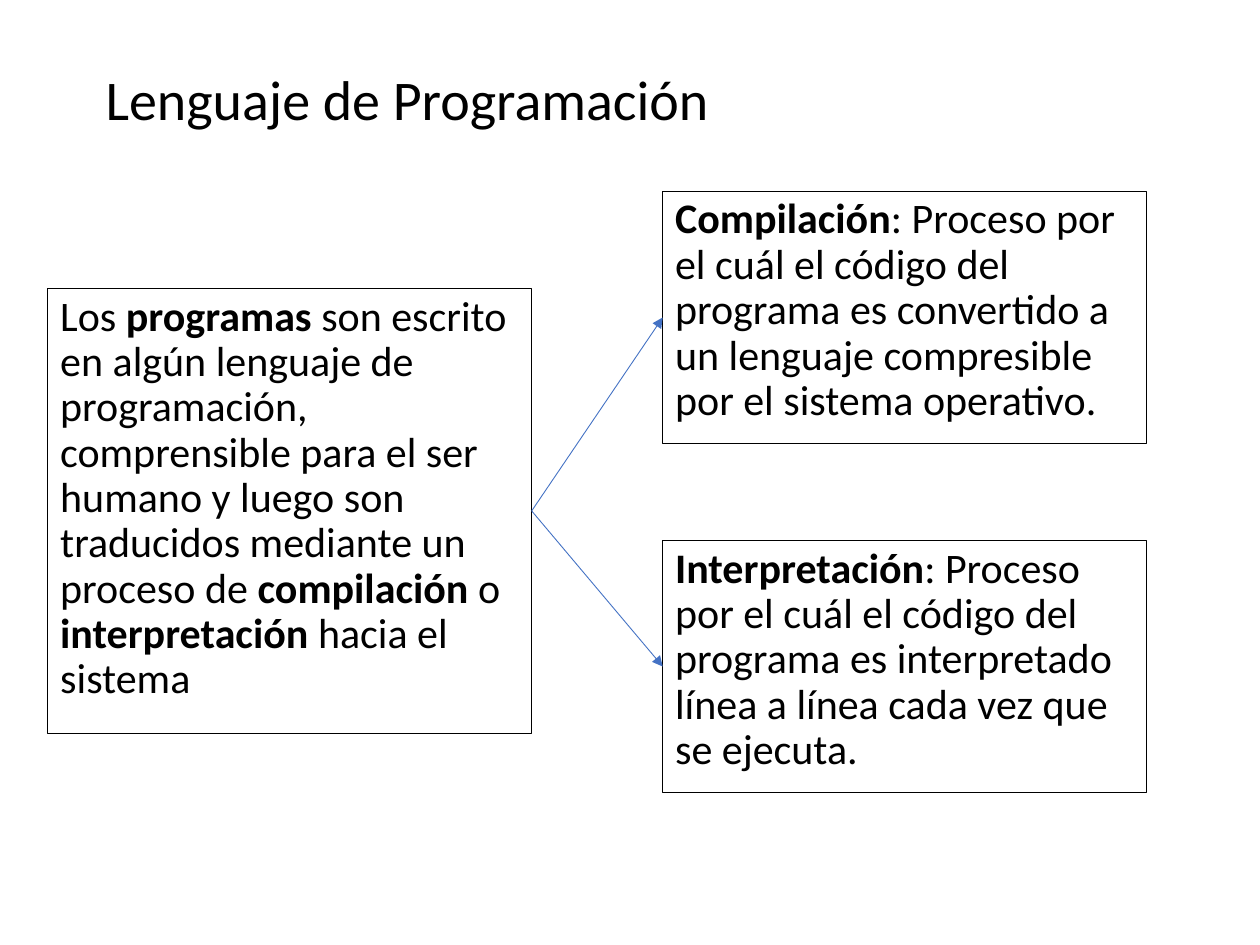
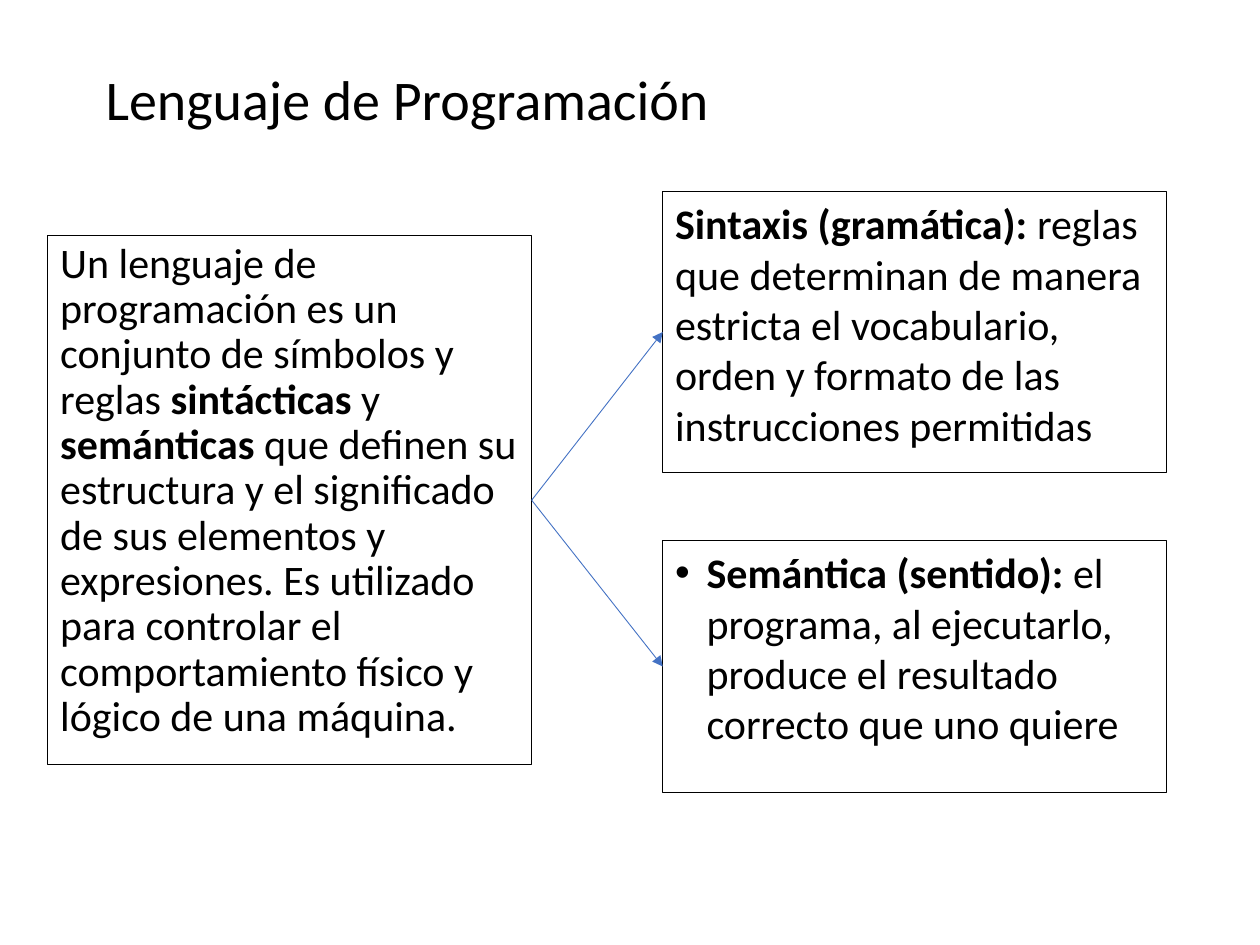
from pptx import Presentation
from pptx.dml.color import RGBColor
from pptx.enum import shapes, text
from pptx.oxml import ns
from pptx.util import Inches, Pt
from lxml import etree

FONT = "Calibri"
BLACK, WHITE, BLUE = "000000", "FFFFFF", "4472C4"
TITLE = "Lenguaje de Programación"
LEFT_X, RIGHT_X = 0.38, 5.26
TOP_Y, BOTTOM_Y = 1.52, 4.29
LEFT_WIDTH = 3.84


def color(value):
    """Turn a hex string into a colour."""
    return RGBColor.from_string(value)


def add_runs(p, marked, size):
    """Add runs to a paragraph, with bold between double asterisks."""
    for i, part in enumerate(marked.split("**")):
        if part:
            r = p.add_run()
            r.text = part
            r.font.name = FONT
            r.font.size = Pt(size)
            r.font.bold = i % 2 == 1
            r.font.color.rgb = color(BLACK)


def add_bullet(p, indent):
    """Give a paragraph a round bullet with a hanging indent."""
    pPr = p._p.get_or_add_pPr()
    pPr.set("marL", str(Inches(indent)))
    pPr.set("indent", str(Inches(-indent)))
    etree.SubElement(pPr, ns.qn("a:buFont"), typeface="Arial")
    etree.SubElement(pPr, ns.qn("a:buChar"), char="•")


def add_title(s, x, y, w, h):
    """Add the shared slide title."""
    tf = s.shapes.add_textbox(Inches(x), Inches(y), Inches(w), Inches(h)).text_frame
    tf.word_wrap = False
    tf.auto_size = text.MSO_AUTO_SIZE.SHAPE_TO_FIT_TEXT
    add_runs(tf.paragraphs[0], TITLE, 32)


def add_box(s, x, y, w, h, marked, spacing=1.0, fill=None, bullet=False):
    """Add an outlined box of text."""
    sp = s.shapes.add_shape(shapes.MSO_SHAPE.RECTANGLE,
                            Inches(x), Inches(y), Inches(w), Inches(h))
    sp.shadow.inherit = False
    if fill:
        sp.fill.solid()
        sp.fill.fore_color.rgb = color(fill)
    else:
        sp.fill.background()
    sp.line.color.rgb = color(BLACK)
    sp.line.width = Pt(0.75)
    tf = sp.text_frame
    tf.word_wrap = True
    tf.vertical_anchor = text.MSO_ANCHOR.TOP
    p = tf.paragraphs[0]
    p.alignment = text.PP_ALIGN.LEFT
    p.line_spacing = spacing
    if bullet:
        add_bullet(p, 0.25)
    add_runs(p, marked, 24)
    return sp


def add_arrow(s, source, target):
    """Join the right side of one box to the left side of another."""
    line = s.shapes.add_connector(shapes.MSO_CONNECTOR.STRAIGHT, 0, 0, 0, 0)
    line.begin_connect(source, 3)
    line.end_connect(target, 1)
    line.line.color.rgb = color(BLUE)
    line.line.width = Pt(0.5)
    etree.SubElement(line.line._get_or_add_ln(), ns.qn("a:tailEnd"), type="triangle")
    etree.SubElement(line._element.spPr, ns.qn("a:effectLst"))


def add_branch_slide(prs, left, top, bottom, left_y, left_h, right_w, top_h,
                     spacing, bullet=False):
    """Add a slide whose left box branches to two boxes on the right."""
    s = prs.slides.add_slide(prs.slide_layouts[6])
    add_title(s, 0.74, 0.46, 5.04, 0.64)
    source = add_box(s, LEFT_X, left_y, LEFT_WIDTH, left_h, left, 0.9)
    targets = [
        add_box(s, RIGHT_X, TOP_Y, right_w, top_h, top, spacing, WHITE),
        add_box(s, RIGHT_X, BOTTOM_Y, right_w, 2, bottom, spacing, bullet=bullet),
    ]
    for target in targets:
        add_arrow(s, source, target)


def main():
    """Build and save the presentation."""
    prs = Presentation()
    prs.slide_width, prs.slide_height = Inches(10), Inches(7.5)
    add_branch_slide(
        prs,
        "Los **programas** son escrito en algún lenguaje de programación, "
        "comprensible para el ser humano y luego son traducidos mediante un "
        "proceso de **compilación** o **interpretación** hacia el sistema",
        "**Compilación**: Proceso por el cuál el código del programa es "
        "convertido a un lenguaje compresible por el sistema operativo.",
        "**Interpretación**: Proceso por el cuál el código del programa es "
        "interpretado línea a línea cada vez que se ejecuta.",
        left_y=2.29, left_h=3.53, right_w=3.84, top_h=2, spacing=0.9)
    add_branch_slide(
        prs,
        "Un lenguaje de programación es un conjunto de símbolos y reglas "
        "**sintácticas** y **semánticas** que definen su estructura y el "
        "significado de sus elementos y expresiones. Es utilizado para "
        "controlar el comportamiento físico y lógico de una máquina.",
        "**Sintaxis (gramática):** reglas que determinan de manera estricta "
        "el vocabulario, orden y formato de las instrucciones permitidas",
        "**Semántica (sentido):** el programa, al ejecutarlo, produce el "
        "resultado correcto que uno quiere",
        left_y=1.87, left_h=4.2, right_w=4, top_h=2.23, spacing=1.0, bullet=True)
    prs.save("out.pptx")


if __name__ == "__main__":
    main()
